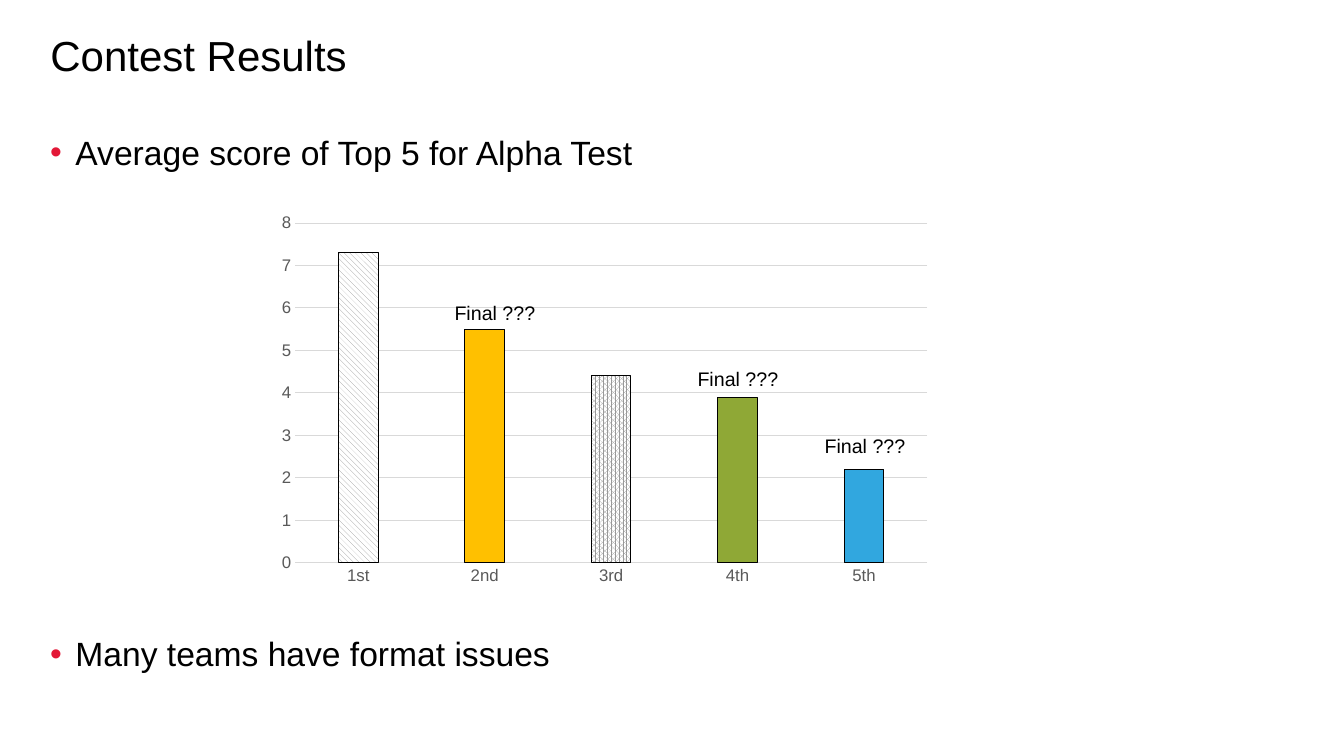
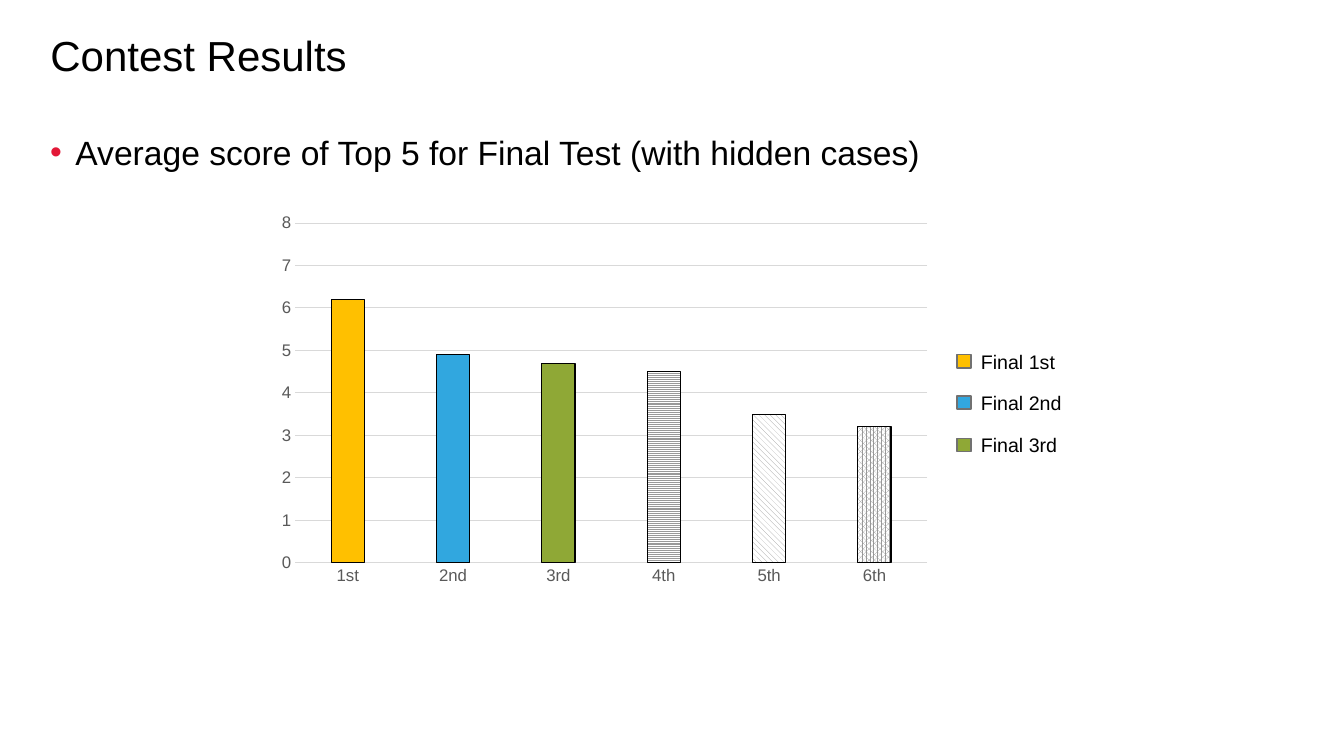
from dataclasses import dataclass

from lxml.etree import SubElement
from pptx import Presentation
from pptx.chart.data import CategoryChartData as ChartData
from pptx.dml.color import RGBColor
from pptx.dml.fill import FillFormat as Fill
from pptx.enum.chart import XL_CHART_TYPE as Kind, XL_TICK_MARK as Tick
from pptx.enum.dml import MSO_PATTERN as Pattern
from pptx.enum.shapes import MSO_SHAPE as Form
from pptx.enum.text import MSO_ANCHOR as Anchor, MSO_AUTO_SIZE as Fit, PP_ALIGN as Align
from pptx.oxml.ns import qn
from pptx.slide import Slide
from pptx.text.text import Font, TextFrame as Frame
from pptx.util import Emu, Pt

# Shared look
SCALE = 9144  # EMU in one px, 100 px to the inch
FACE = "Arial"
BLACK, WHITE, RED = "000000", "FFFFFF", "E31837"
GREY, GRID, TEXT, EDGE = "999999", "D9D9D9", "595959", "717171"
GOLD, GREEN, BLUE = "FFC000", "8FA836", "31A7DF"
DIAG, DOTS, HORZ = Pattern.WIDE_DOWNWARD_DIAGONAL, Pattern.PERCENT_75, Pattern.LIGHT_HORIZONTAL
LEFT, WIDE = 40, 1253
TITLE = "Contest Results"
PLOT = {"x": 0.04, "y": 0.04, "w": 0.94, "h": 0.88}


@dataclass
class Bar:
    name: str
    score: float
    paint: str | Pattern


@dataclass
class Note:
    text: str
    x: int
    y: int


ALPHA = [
    Bar("1st", 7.3, DIAG),
    Bar("2nd", 5.5, GOLD),
    Bar("3rd", 4.4, DOTS),
    Bar("4th", 3.9, GREEN),
    Bar("5th", 2.2, BLUE),
]
FINAL = [
    Bar("1st", 6.2, GOLD),
    Bar("2nd", 4.9, BLUE),
    Bar("3rd", 4.7, GREEN),
    Bar("4th", 4.5, HORZ),
    Bar("5th", 3.5, DIAG),
    Bar("6th", 3.2, DOTS),
]
MARKS = [Note("Final ???", x, y) for x, y in ((441, 294), (682, 359), (808, 426))]


# Helpers
def px(size: int) -> Emu:
    return Emu(size * SCALE)


def rgb(code: str) -> RGBColor:
    return RGBColor.from_string(code)


def style(font: Font, size: int, code: str = BLACK) -> None:
    font.name, font.size = FACE, Pt(size)
    font.color.rgb = rgb(code)


def paint(fill: Fill, look: str | Pattern) -> None:
    if isinstance(look, str):
        fill.solid()
        fill.fore_color.rgb = rgb(look)
    else:
        fill.patterned()
        fill.pattern = look
        fill.fore_color.rgb, fill.back_color.rgb = rgb(GREY), rgb(WHITE)


def write(frame: Frame, text: str, size: int, space: float = 1.0) -> None:
    frame.word_wrap, frame.auto_size = True, Fit.NONE
    frame.vertical_anchor = Anchor.TOP
    para = frame.paragraphs[0]
    para.alignment, para.line_spacing = Align.LEFT, space
    run = para.add_run()
    run.text = text
    style(run.font, size)


def add_text(slide: Slide, text: str, x: int, y: int, w: int, h: int,
             size: int, space: float = 1.0) -> Frame:
    frame = slide.shapes.add_textbox(px(x), px(y), px(w), px(h)).text_frame
    write(frame, text, size, space)
    return frame


def add_point(slide: Slide, text: str, y: int) -> None:
    frame = add_text(slide, text, LEFT, y, WIDE, 60, 24, 0.9)
    props = frame.paragraphs[0]._p.get_or_add_pPr()
    props.set("marL", str(px(25)))
    props.set("indent", str(-px(25)))
    SubElement(SubElement(props, qn("a:buClr")), qn("a:srgbClr"), val=RED)
    SubElement(props, qn("a:buFont"), typeface=FACE)
    SubElement(props, qn("a:buChar"), char="•")


def add_note(slide: Slide, note: Note) -> None:
    add_text(slide, note.text, note.x, note.y, 126, 34, 14)


def add_bars(slide: Slide, bars: list[Bar]) -> None:
    data = ChartData()
    data.categories = [bar.name for bar in bars]
    data.add_series("Series 1", [bar.score for bar in bars])
    chart = slide.shapes.add_chart(
        Kind.COLUMN_CLUSTERED, px(266), px(206), px(667), px(383), data).chart
    chart.has_legend = chart.has_title = False
    style(chart.font, 10)

    # Axes
    cats, vals = chart.category_axis, chart.value_axis
    for axis in (cats, vals):
        axis.major_tick_mark = axis.minor_tick_mark = Tick.NONE
        style(axis.tick_labels.font, 12, TEXT)
    vals.minimum_scale, vals.maximum_scale, vals.major_unit = 0, 8, 1
    vals.has_major_gridlines = True
    vals.format.line.fill.background()
    for line in (cats.format.line, vals.major_gridlines.format.line):
        line.color.rgb, line.width = rgb(GRID), Pt(0.75)

    # Columns
    plot = chart.plots[0]
    plot.gap_width, plot.overlap, plot.vary_by_categories = 219, -27, False
    row = plot.series[0]
    paint(row.format.fill, GREY)
    for spot, bar in enumerate(bars):
        look = row.points[spot].format
        paint(look.fill, bar.paint)
        look.line.color.rgb, look.line.width = rgb(BLACK), Pt(0.75)

    # Inner plot area
    area = chart._chartSpace.find(".//" + qn("c:plotArea"))
    old = area.find(qn("c:layout"))
    if old is not None:
        area.remove(old)
    frame = SubElement(area, qn("c:layout"))
    area.insert(0, frame)
    rule = SubElement(frame, qn("c:manualLayout"))
    SubElement(rule, qn("c:layoutTarget"), val="inner")
    for side in "xy":
        SubElement(rule, qn(f"c:{side}Mode"), val="edge")
    for side, part in PLOT.items():
        SubElement(rule, qn(f"c:{side}"), val=str(part))


def add_key(slide: Slide, bars: list[Bar]) -> None:
    for spot, bar in enumerate(bars):
        top = 342 + 83 * spot // 2
        box = slide.shapes.add_shape(Form.RECTANGLE, px(949), px(top + 10), px(14), px(13))
        box.shadow.inherit = False
        paint(box.fill, bar.paint)
        box.line.color.rgb, box.line.width = rgb(EDGE), Pt(1)
        add_note(slide, Note(f"Final {bar.name}", 963, top))


def add_page(deck: Presentation, lead: str, bars: list[Bar]) -> Slide:
    slide = deck.slides.add_slide(deck.slide_layouts[5])
    head = slide.shapes.title
    head.left, head.top, head.width, head.height = px(LEFT), px(30), px(WIDE), px(100)
    write(head.text_frame, TITLE, 30, 0.9)
    add_point(slide, lead, 130)
    add_bars(slide, bars)
    return slide


def main() -> None:
    deck = Presentation()
    deck.slide_width, deck.slide_height = px(1333), px(750)

    # Alpha test
    slide = add_page(deck, "Average score of Top 5 for Alpha Test", ALPHA)
    add_point(slide, "Many teams have format issues", 628)
    for mark in MARKS:
        add_note(slide, mark)

    # Final test
    slide = add_page(deck, "Average score of Top 5 for Final Test (with hidden cases)", FINAL)
    add_key(slide, FINAL[:3])

    deck.save("out.pptx")


if __name__ == "__main__":
    main()
